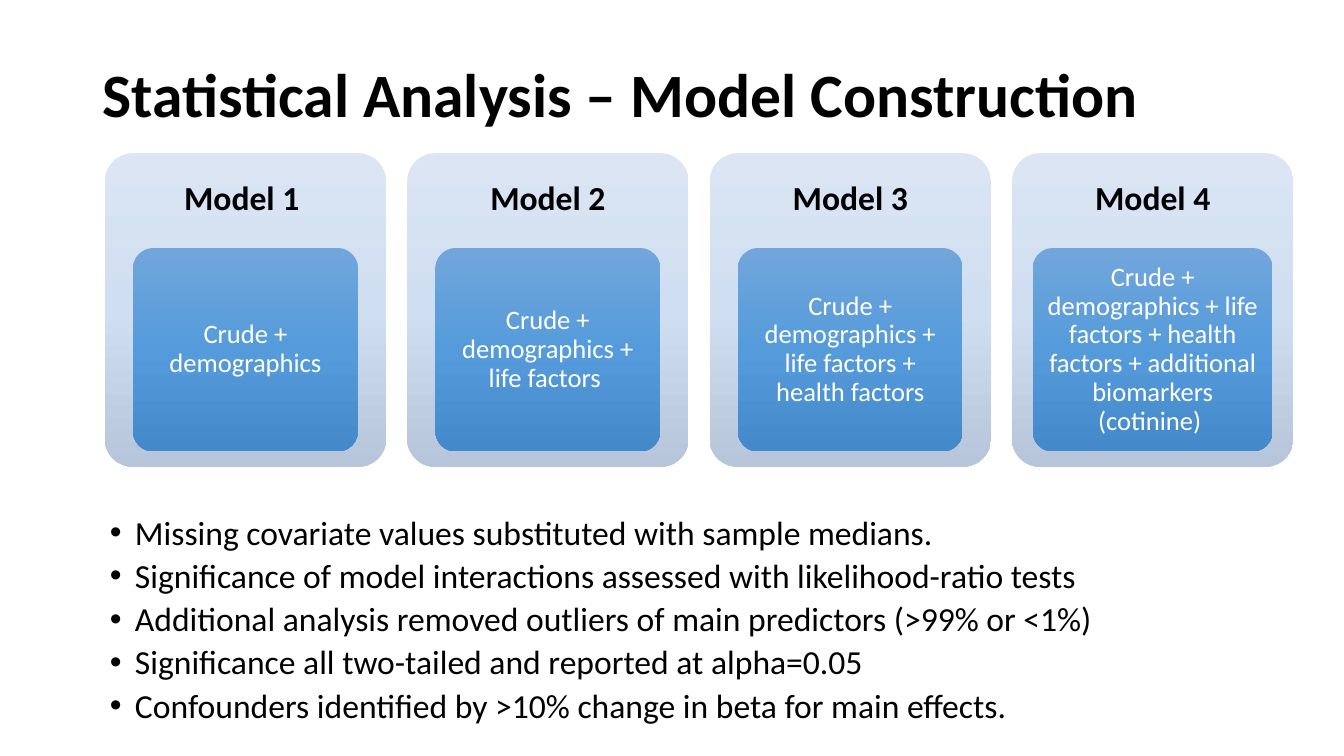
from copy import deepcopy

from lxml import etree
from pptx import Presentation
from pptx.dml.color import RGBColor
from pptx.enum.shapes import MSO_SHAPE
from pptx.enum.text import MSO_ANCHOR, PP_ALIGN
from pptx.oxml.ns import qn
from pptx.util import Inches, Pt

ROUND = MSO_SHAPE.ROUNDED_RECTANGLE
TOP, MIDDLE = MSO_ANCHOR.TOP, MSO_ANCHOR.MIDDLE
LEFT, CENTER = PP_ALIGN.LEFT, PP_ALIGN.CENTER
WIDE, HIGH = Inches(13.33), Inches(7.5)
FONT = "Calibri"
BLACK = RGBColor(0, 0, 0)
WHITE = RGBColor(255, 255, 255)
PALE = [RGBColor(0xDB, 0xE5, 0xF3), RGBColor(0xD0, 0xDE, 0xF1), RGBColor(0xB6, 0xC5, 0xD9)]
BLUE = [RGBColor(0x71, 0xA6, 0xDB), RGBColor(0x55, 0x9B, 0xDB), RGBColor(0x44, 0x8A, 0xCA)]

CARD_X, STEP, CARD_W = 7.8, 22.5, 20.93
CARD_Y, CARD_H, HEAD_H = 20.27, 41.47, 12.4
CORE_Y, CORE_H = 32.8, 26.93
MODELS = [
    ("Model 1 ", "Crude + demographics", 16.73),
    ("Model 2", "Crude + demographics + life factors ", 16.73),
    ("Model 3", "Crude + demographics + life factors + health factors", 16.73),
    ("Model 4", "Crude + demographics + life factors + health factors "
     "+ additional biomarkers (cotinine) ", 17.85),
]
NOTES = [
    "Missing covariate values substituted with sample medians.",
    "Significance of model interactions assessed with likelihood-ratio tests",
    "Additional analysis removed outliers of main predictors (>99% or <1%)",
    "Significance all two-tailed and reported at alpha=0.05",
    "Confounders identified by >10% change in beta for main effects.",
]


def place(x, y, w, h):
    """Turn percent shares of the slide into lengths."""
    return [round(side * part / 100) for side, part in
            ((WIDE, x), (HIGH, y), (WIDE, w), (HIGH, h))]


def write(shape, lines, size, color=BLACK, bold=False, align=CENTER,
          anchor=MIDDLE, pad=(0.1, 0.05)):
    """Fill a shape with styled paragraphs and return them."""
    frame = shape.text_frame
    frame.word_wrap = True
    frame.vertical_anchor = anchor
    frame.margin_left = frame.margin_right = Inches(pad[0])
    frame.margin_top = frame.margin_bottom = Inches(pad[1])
    frame.text = "\n".join(lines)
    for para in frame.paragraphs:
        para.alignment = align
        para.line_spacing = 0.9
        font = para.font
        font.name, font.size, font.bold = FONT, Pt(size), bold
        font.color.rgb = color
    return frame.paragraphs


def label(slide, area, lines, size, **style):
    """Add a text box and return its paragraphs."""
    return write(slide.shapes.add_textbox(*place(*area)), lines, size, **style)


def panel(slide, area, tones):
    """Add a rounded panel with a vertical three-tone gradient."""
    shape = slide.shapes.add_shape(ROUND, *place(*area))
    shape.adjustments[0] = 0.1
    shape.shadow.inherit = False
    shape.line.fill.background()
    shape.fill.gradient()
    shape.fill.gradient_angle = 270
    stops = shape._element.spPr.find(".//" + qn("a:gsLst"))
    stops.append(deepcopy(stops[-1]))
    for i, (stop, tone) in enumerate(zip(shape.fill.gradient_stops, tones)):
        stop.position = i / 2
        stop.color.rgb = tone
    return shape


def card(slide, i, name, terms, width):
    """Draw one model card with its heading and inner panel."""
    x = CARD_X + i * STEP
    panel(slide, (x, CARD_Y, CARD_W, CARD_H), PALE)
    label(slide, (x, CARD_Y, CARD_W, HEAD_H), [name], 24, bold=True, pad=(0.1, 0.1))
    core = panel(slide, (x + (CARD_W - width) / 2, CORE_Y, width, CORE_H), BLUE)
    write(core, [terms], 19, color=WHITE, pad=(0.05, 0.04))


def bullet(para):
    """Give a paragraph a hanging bullet."""
    para.space_before = Pt(5)
    props = para._p.get_or_add_pPr()
    props.set("marL", str(Inches(0.75)))
    props.set("indent", str(Inches(-0.25)))
    face = etree.Element(qn("a:buFont"), typeface="Arial")
    mark = etree.Element(qn("a:buChar"), char="•")
    props.find(qn("a:defRPr")).addprevious(face)
    face.addnext(mark)


def main():
    """Build and save the slide."""
    deck = Presentation()
    deck.slide_width, deck.slide_height = WIDE, HIGH
    slide = deck.slides.add_slide(deck.slide_layouts[6])
    label(slide, (6.9, 3.2, 86.27, 19.33), ["Statistical Analysis – Model Construction"],
          44, bold=True, align=LEFT)
    for para in label(slide, (3.68, 67.6, 90.4, 30), NOTES, 24, align=LEFT, anchor=TOP):
        bullet(para)
    for i, model in enumerate(MODELS):
        card(slide, i, *model)
    deck.save("out.pptx")


if __name__ == "__main__":
    main()
